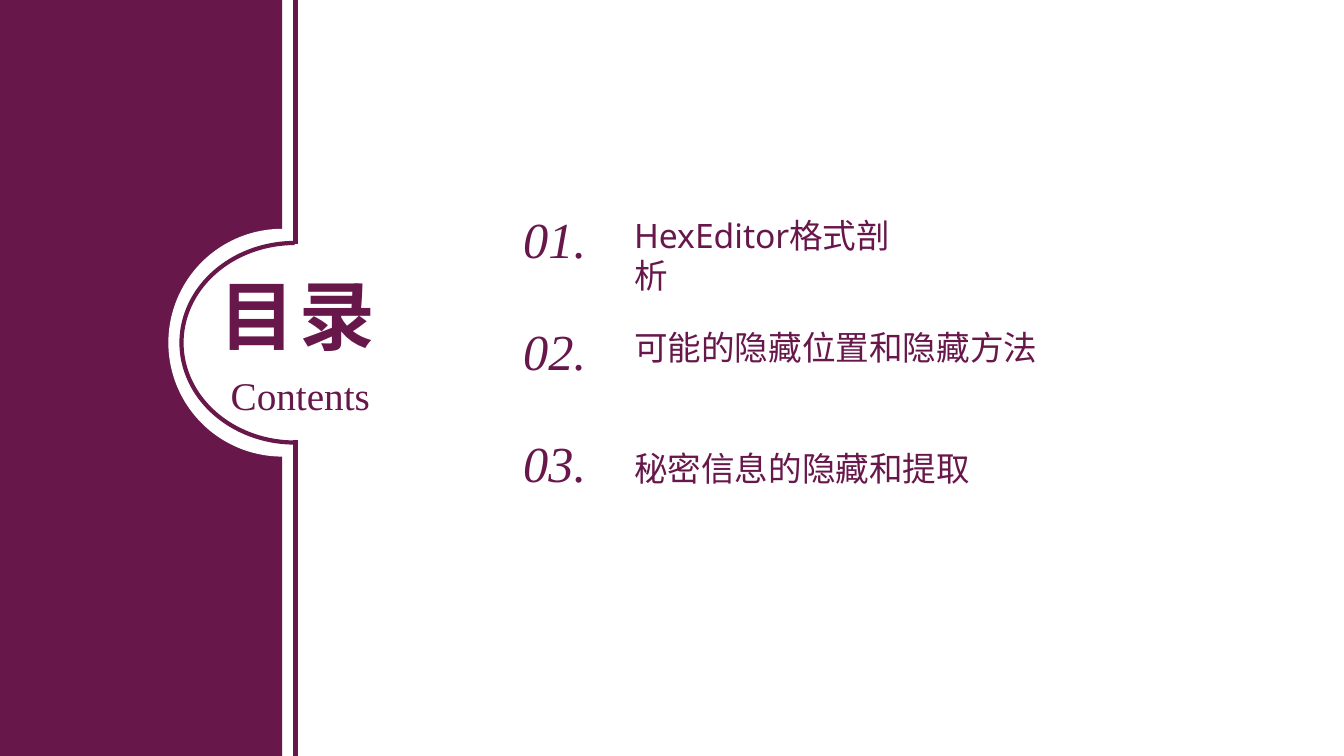
from dataclasses import dataclass

from lxml.etree import SubElement
from pptx import Presentation
from pptx.dml.color import RGBColor
from pptx.enum.shapes import MSO_CONNECTOR, MSO_SHAPE
from pptx.enum.text import MSO_ANCHOR, MSO_AUTO_SIZE, PP_ALIGN
from pptx.oxml.ns import qn
from pptx.util import Emu, Pt

COLORS = {"plum": "68174B", "white": "FFFFFF"}
SANS, SERIF = "Noto Sans", "Times New Roman"
PX = 9144  # 100 px to the inch
SLIDE_W, SLIDE_H = 1333, 750
LINE_PT = 3
NUMBER_X, NUMBER_Y, ROW_STEP = 509, 202, 111
ENTRY_X = 619


@dataclass(frozen=True)
class Style:
    font: str
    size: int
    bold: bool = False
    italic: bool = False


@dataclass(frozen=True)
class Entry:
    text: str
    y: int
    w: int


TITLE = Style(SANS, 54, bold=True)
SUBTITLE = Style(SERIF, 28)
NUMBER = Style(SERIF, 36, italic=True)
ENTRY = Style(SANS, 24)

ENTRIES = [
    Entry("HexEditor格式剖析", 208, 295),
    Entry("可能的隐藏位置和隐藏方法", 319, 424),
    Entry("秘密信息的隐藏和提取", 439, 362),
]


def px(*lengths: int) -> list[Emu]:
    return [Emu(n * PX) for n in lengths]


def color(name: str) -> RGBColor:
    return RGBColor.from_string(COLORS[name])


def write(shape, text: str, style: Style):
    """Fill a text shape with one styled line and return its run."""
    tf = shape.text_frame
    tf.text = text
    tf.word_wrap = True
    tf.auto_size = MSO_AUTO_SIZE.NONE
    tf.vertical_anchor = MSO_ANCHOR.TOP
    p = tf.paragraphs[0]
    p.alignment = PP_ALIGN.LEFT
    r = p.runs[0]
    r.font.name = style.font
    r.font.size = Pt(style.size)
    r.font.bold = style.bold
    r.font.italic = style.italic
    r.font.color.rgb = color("plum")
    SubElement(r.font._element, qn("a:ea")).set("typeface", style.font)
    return r


def add_text(s, text: str, style: Style, x: int, y: int, w: int, h: int) -> None:
    write(s.shapes.add_textbox(*px(x, y, w, h)), text, style)


def add_filled(s, kind: MSO_SHAPE, fill: str, x: int, y: int, w: int, h: int) -> None:
    sp = s.shapes.add_shape(kind, *px(x, y, w, h))
    sp.shadow.inherit = False
    sp.fill.solid()
    sp.fill.fore_color.rgb = color(fill)
    sp.line.fill.background()


def set_line(sp) -> None:
    sp.line.color.rgb = color("plum")
    sp.line.width = Pt(LINE_PT)


def add_half_ring(s, x: int, y: int, w: int, h: int) -> None:
    """Draw the left half of an ellipse outline."""
    arc = s.shapes.add_shape(MSO_SHAPE.ARC, *px(x, y, w, h))
    arc.rotation = 180
    arc.adjustments[0] = 162
    arc.adjustments[1] = 53.86
    arc.shadow.inherit = False
    arc.fill.background()
    set_line(arc)


def add_vertical(s, x: int, top: int, bottom: int) -> None:
    cx = s.shapes.add_connector(MSO_CONNECTOR.STRAIGHT, *px(x, top, x, bottom))
    set_line(cx)
    SubElement(cx._element.spPr, qn("a:effectLst"))


def add_title(s, text: str, x: int, y: int, w: int, h: int) -> None:
    """Place the title placeholder in front of the panel and disc."""
    title = s.shapes.title
    title.left, title.top, title.width, title.height = px(x, y, w, h)
    r = write(title, text, TITLE)
    r.font._element.set("spc", "300")
    s.shapes._spTree.append(title._element)


def main() -> None:
    prs = Presentation()
    prs.slide_width, prs.slide_height = px(SLIDE_W, SLIDE_H)
    s = prs.slides.add_slide(prs.slide_layouts.get_by_name("Title Only"))

    add_filled(s, MSO_SHAPE.RECTANGLE, "plum", 0, 0, 280, SLIDE_H)
    for i, entry in enumerate(ENTRIES):
        add_text(s, f"{i + 1:02d}.", NUMBER, NUMBER_X, NUMBER_Y + i * ROW_STEP, 97, 71)
        add_text(s, entry.text, ENTRY, ENTRY_X, entry.y, entry.w, 50)

    add_filled(s, MSO_SHAPE.OVAL, "white", 167, 227, 226, 226)
    add_half_ring(s, 180, 241, 225, 198)
    add_title(s, "目录", 208, 262, 180, 101)
    add_text(s, "Contents", SUBTITLE, 219, 363, 160, 57)
    for top, bottom in ((0, 242), (437, SLIDE_H)):
        add_vertical(s, 293, top, bottom)

    prs.save("out.pptx")


if __name__ == "__main__":
    main()
